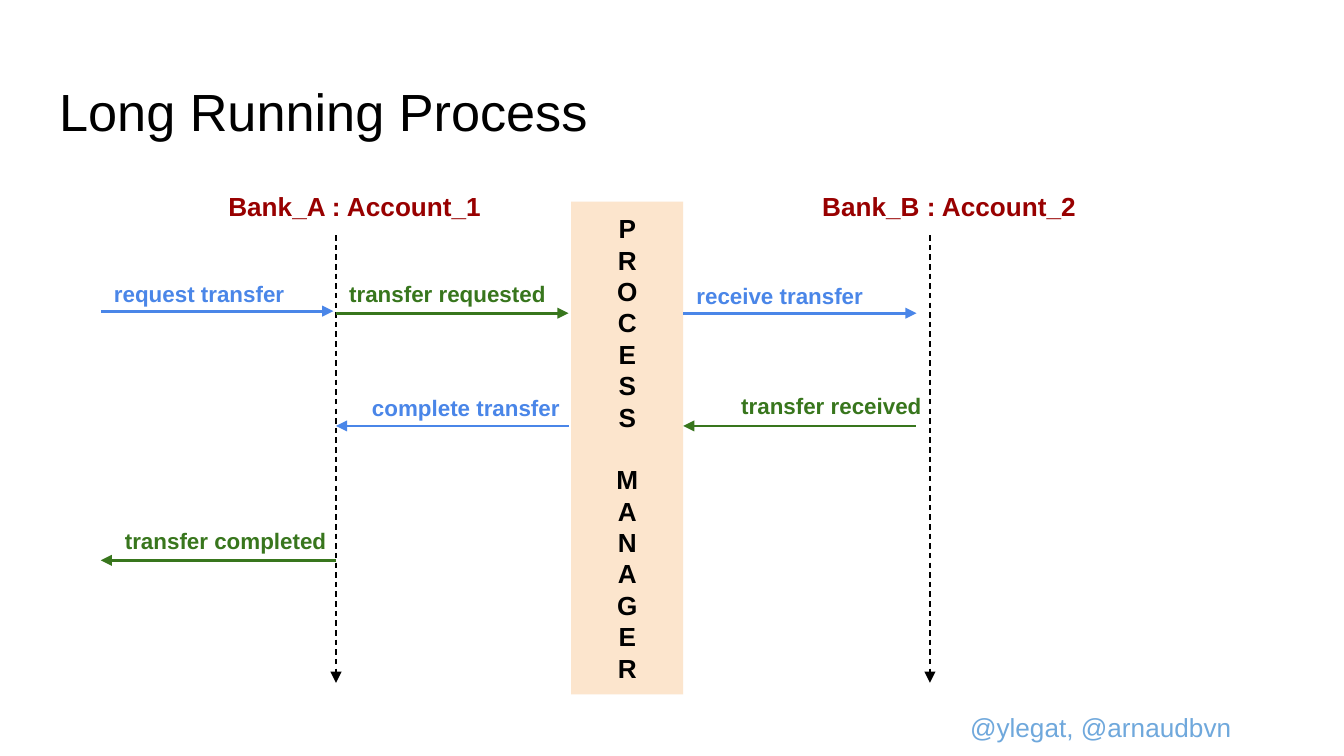
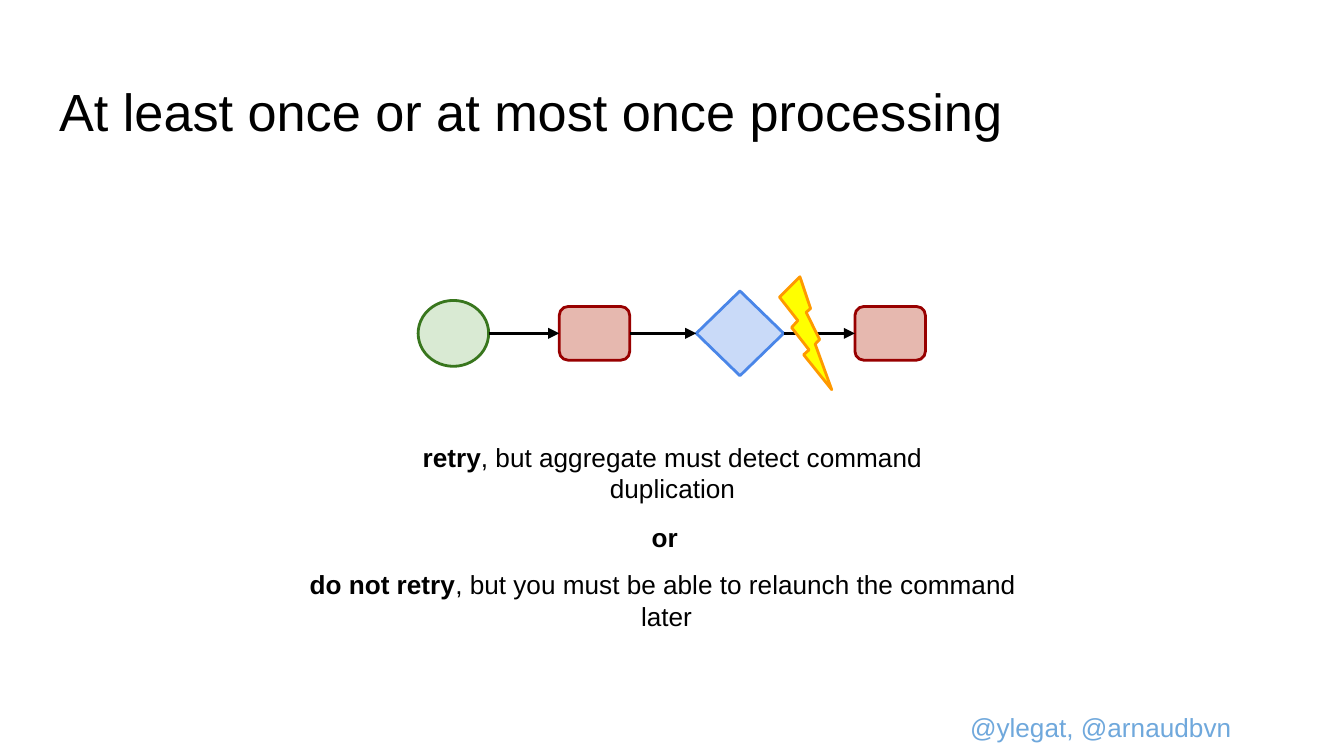
"""Build two slides: a long running process and its retry strategies."""
from itertools import pairwise

from lxml import etree
from pptx import Presentation
from pptx.dml.color import RGBColor
from pptx.enum import dml, shapes, text
from pptx.oxml.ns import qn
from pptx.util import Pt

BLACK = RGBColor(0x00, 0x00, 0x00)
MAROON = RGBColor(0x98, 0x00, 0x00)
GREEN = RGBColor(0x38, 0x76, 0x1D)
BLUE = RGBColor(0x4A, 0x86, 0xE8)
ORANGE = RGBColor(0xFF, 0x99, 0x00)
YELLOW = RGBColor(0xFF, 0xFF, 0x00)
PALE_GREEN = RGBColor(0xD9, 0xEA, 0xD3)
PALE_RED = RGBColor(0xE6, 0xB8, 0xAF)
PALE_BLUE = RGBColor(0xC9, 0xDA, 0xF8)
PEACH = RGBColor(0xFC, 0xE5, 0xCD)
SKY = RGBColor(0x6F, 0xA8, 0xDC)

FONT = "Arial"
INSET = 7.2
LABEL_HEIGHT = 25.2
LEFT, CENTER = text.PP_ALIGN.LEFT, text.PP_ALIGN.CENTER
SHAPE = shapes.MSO_SHAPE

TITLE_AREA = (24.5, 35.3, 671, 45.4)
FOOTER = "@ylegat, @arnaudbvn"
FOOTER_AREA = (512.6, 373.7, 158.4, 31)

LIFELINES = [("Bank_A : Account_1", 180), ("Bank_B : Account_2", 498.2)]
LIFELINE_TOP, LIFELINE_BOTTOM = 126, 365.8
MANAGER_WORDS = ("PROCESS", "MANAGER")
MANAGER_AREA = (306, 108, 60, 264)

# label, colour, arrow start x, arrow end x, arrow y, label left, label top, label width
MESSAGES = [
    ("request transfer", BLUE, 54, 178.6, 166.7, 54, 142.6, 116),
    ("transfer requested", GREEN, 180, 304.6, 167.8, 180, 142.6, 124.6),
    ("receive transfer", BLUE, 366, 491, 167.8, 366, 144, 108),
    ("transfer received", GREEN, 490.5, 366, 228.2, 390, 203, 113.8),
    ("complete transfer", BLUE, 304.6, 180, 228.2, 192.2, 203.8, 126),
    ("transfer completed", GREEN, 180, 54, 300.2, 59.8, 275, 126),
]

FLOW_MIDDLE = 178.6
FLOW = [
    (SHAPE.OVAL, 224, 37.8, 35.3, PALE_GREEN, GREEN),
    (SHAPE.ROUNDED_RECTANGLE, 299.6, 37.8, 28.8, PALE_RED, MAROON),
    (SHAPE.DIAMOND, 373, 46.8, 45.4, PALE_BLUE, BLUE),
    (SHAPE.ROUNDED_RECTANGLE, 458, 37.8, 28.8, PALE_RED, MAROON),
]
BOLT_AREA = (417.6, 148.3, 28, 60.5)

OPTIONS = [
    ((190.8, 229, 339, 37.4), CENTER,
     [[("retry", True), (", but aggregate must detect command duplication", False)]]),
    ((342, 272.2, 30.2, 29.5), LEFT, [[("or", True)]]),
    ((141.1, 297.4, 432, 31), CENTER,
     [[("do not retry", True),
       (", but you must be able to relaunch the command ", False)],
      [("later", False)]]),
]


def write(box, paras, size, color, align=LEFT, anchor=text.MSO_ANCHOR.TOP):
    """Fill a box with paragraphs, each a list of (words, bold) spans."""
    frame = box.text_frame
    frame.word_wrap = True
    frame.auto_size = text.MSO_AUTO_SIZE.NONE
    frame.vertical_anchor = anchor
    frame.margin_left = frame.margin_right = Pt(INSET)
    frame.margin_top = frame.margin_bottom = Pt(INSET)
    for index, spans in enumerate(paras):
        para = frame.add_paragraph() if index else frame.paragraphs[0]
        para.alignment = align
        for words, bold in spans:
            span = para.add_run()
            span.text = words
            font = span.font
            font.name, font.size, font.bold = FONT, Pt(size), bold
            font.color.rgb = color
    return frame


def add_text(page, area, paras, size, color, align=LEFT):
    """Add a text box."""
    write(page.shapes.add_textbox(*map(Pt, area)), paras, size, color, align)


def add_shape(page, kind, area, fill, line=None):
    """Add a filled preset shape, outlined when a line colour is given."""
    shape = page.shapes.add_shape(kind, *map(Pt, area))
    shape.shadow.inherit = False
    shape.fill.solid()
    shape.fill.fore_color.rgb = fill
    if line is None:
        shape.line.fill.background()
    else:
        shape.line.color.rgb = line
        shape.line.width = Pt(1.5)
    return shape


def add_arrow(page, start, end, color, width=1.5, dash=None):
    """Add a straight arrow pointing at its end."""
    arrow = page.shapes.add_connector(
        shapes.MSO_CONNECTOR.STRAIGHT, *map(Pt, (*start, *end)))
    arrow.line.color.rgb = color
    arrow.line.width = Pt(width)
    if dash is not None:
        arrow.line.dash_style = dash
    etree.SubElement(arrow.line._get_or_add_ln(), qn("a:tailEnd"), type="triangle")
    etree.SubElement(arrow._element.spPr, qn("a:effectLst"))


def add_page(deck, title):
    """Add a slide with the shared title and footer."""
    page = deck.slides.add_slide(deck.slide_layouts[5])
    box = page.shapes.title
    box.left, box.top, box.width, box.height = map(Pt, TITLE_AREA)
    write(box, [[(title, False)]], 28, BLACK)
    add_text(page, FOOTER_AREA, [[(FOOTER, False)]], 14, SKY)
    return page


def build_process(deck):
    """Draw the message sequence between two accounts and the manager."""
    page = add_page(deck, "Long Running Process")
    for name, x in LIFELINES:
        add_arrow(page, (x, LIFELINE_TOP), (x, LIFELINE_BOTTOM), BLACK, 0.75,
                  dml.MSO_LINE.DASH)
        add_text(page, (x - 64.8, 95, 162, LABEL_HEIGHT), [[(name, True)]], 14, MAROON)

    manager = add_shape(page, SHAPE.RECTANGLE, MANAGER_AREA, PEACH)
    letters = [[(letter, True)] for letter in "".join(MANAGER_WORDS)]
    frame = write(manager, letters, 14, BLACK, CENTER, text.MSO_ANCHOR.MIDDLE)
    frame.paragraphs[len(MANAGER_WORDS[0])].space_before = Pt(16.8)

    for label, color, start, end, y, left, top, width in MESSAGES:
        add_arrow(page, (start, y), (end, y), color)
        add_text(page, (left, top, width, LABEL_HEIGHT), [[(label, True)]], 12, color)


def build_retry(deck):
    """Draw the interrupted flow and the two ways to handle it."""
    page = add_page(deck, "At least once or at most once processing")
    for kind, left, width, height, fill, line in FLOW:
        area = (left, FLOW_MIDDLE - height / 2, width, height)
        add_shape(page, kind, area, fill, line)
    for (_, left, width, *_), (_, target, *_) in pairwise(FLOW):
        add_arrow(page, (left + width, FLOW_MIDDLE), (target, FLOW_MIDDLE), BLACK)
    add_shape(page, SHAPE.LIGHTNING_BOLT, BOLT_AREA, YELLOW, ORANGE)
    for area, align, paras in OPTIONS:
        add_text(page, area, paras, 14, BLACK, align)


def main():
    """Build and save the deck."""
    deck = Presentation()
    deck.slide_width, deck.slide_height = Pt(720), Pt(405)
    build_process(deck)
    build_retry(deck)
    deck.save("out.pptx")


if __name__ == "__main__":
    main()
